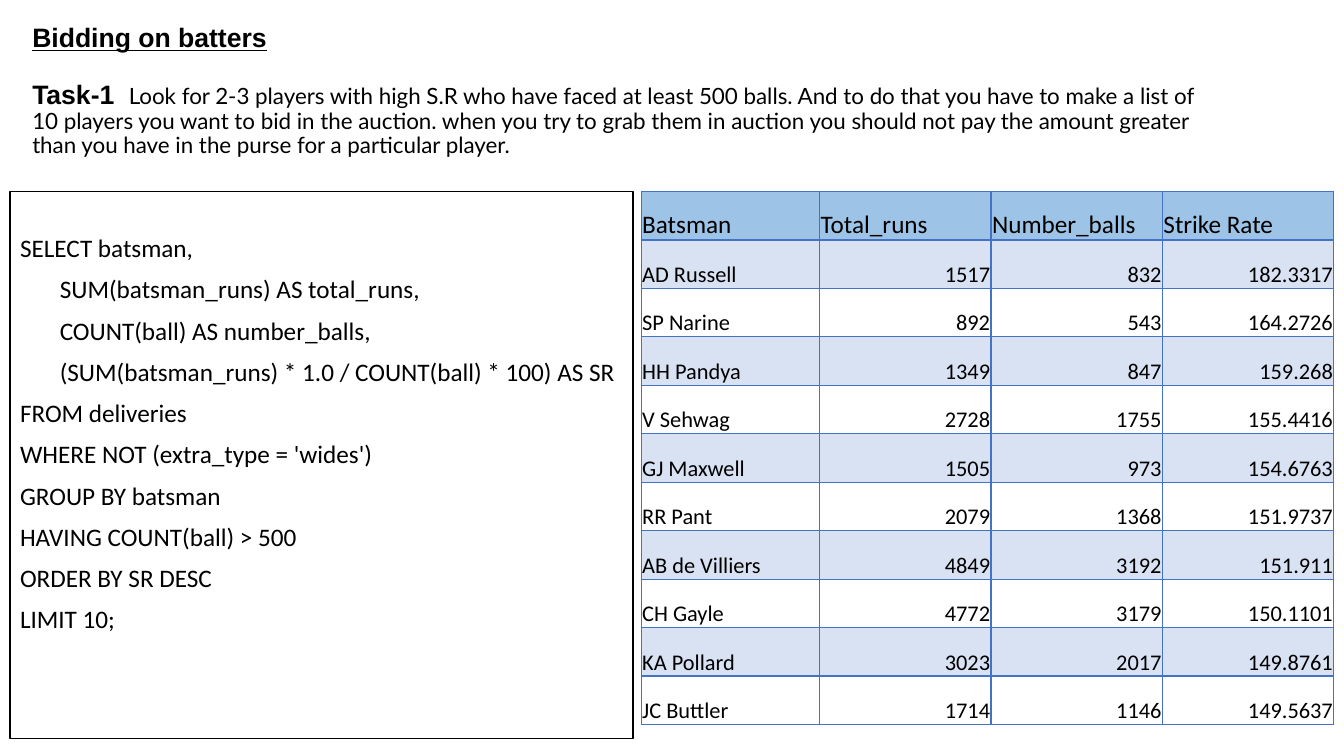
from lxml import etree
from pptx import Presentation
from pptx.dml.color import RGBColor
from pptx.enum.shapes import MSO_SHAPE
from pptx.enum.text import MSO_ANCHOR, MSO_AUTO_SIZE, PP_ALIGN
from pptx.oxml.ns import qn
from pptx.util import Inches, Pt

RECTANGLE = MSO_SHAPE.RECTANGLE
TOP, BOTTOM = MSO_ANCHOR.TOP, MSO_ANCHOR.BOTTOM
LEFT, RIGHT = PP_ALIGN.LEFT, PP_ALIGN.RIGHT
NO_AUTOFIT = MSO_AUTO_SIZE.NONE
TITLE_ONLY = 5

BLACK, WHITE = "000000", "FFFFFF"
ACCENT, HEADER_BLUE = "4472C4", "9DC3E6"
CONTENT_TOP = 1.9
COLUMN_WIDTHS = (1.77, 1.7, 1.7, 1.7)
TABLE_HEIGHT = 5.29

TASK = (
    "Look for 2-3 players with high S.R who have faced at least 500 balls. "
    "And to do that you have to make a list of 10 players you want to bid in "
    "the auction. when you try to grab them in auction you should not pay the "
    "amount greater than you have in the purse for a particular player."
)

QUERY = """SELECT batsman,
       SUM(batsman_runs) AS total_runs,
       COUNT(ball) AS number_balls,
       (SUM(batsman_runs) * 1.0 / COUNT(ball) * 100) AS SR
FROM deliveries
WHERE NOT (extra_type = 'wides')
GROUP BY batsman
HAVING COUNT(ball) > 500
ORDER BY SR DESC
LIMIT 10;"""

BATTERS = [
    ("Batsman", "Total_runs", "Number_balls", "Strike Rate"),
    ("AD Russell", "1517", "832", "182.3317"),
    ("SP Narine", "892", "543", "164.2726"),
    ("HH Pandya", "1349", "847", "159.268"),
    ("V Sehwag", "2728", "1755", "155.4416"),
    ("GJ Maxwell", "1505", "973", "154.6763"),
    ("RR Pant", "2079", "1368", "151.9737"),
    ("AB de Villiers", "4849", "3192", "151.911"),
    ("CH Gayle", "4772", "3179", "150.1101"),
    ("KA Pollard", "3023", "2017", "149.8761"),
    ("JC Buttler", "1714", "1146", "149.5637"),
]


def colour(hex_value):
    return RGBColor.from_string(hex_value)


def add_run(paragraph, text, size, font, bold=False, underline=False):
    run = paragraph.add_run()
    run.text = text
    run.font.size = Pt(size)
    run.font.name = font
    run.font.bold = bold
    run.font.underline = underline
    run.font.color.rgb = colour(BLACK)


def add_line(frame, first, space_before):
    paragraph = frame.paragraphs[0] if first else frame.add_paragraph()
    paragraph.alignment = LEFT
    paragraph.line_spacing = 0.9
    paragraph.space_before = Pt(0 if first else space_before)
    return paragraph


def prepare_frame(frame, anchor):
    frame.word_wrap = True
    frame.auto_size = NO_AUTOFIT
    frame.vertical_anchor = anchor


def fill_title(title):
    title.left, title.top = Inches(0.22), Inches(0.18)
    title.width, title.height = Inches(11.86), Inches(1.44)
    frame = title.text_frame
    prepare_frame(frame, BOTTOM)
    heading = add_line(frame, True, 0)
    add_run(heading, "Bidding on batters", 19, "Arial", bold=True, underline=True)
    task = add_line(frame, False, 20)
    add_run(task, "Task-1 ", 19, "Arial", bold=True)
    add_run(task, " ", 18, "Arial")
    add_run(task, TASK, 16, "Lato")


def add_query_box(slide):
    box = slide.shapes.add_shape(
        RECTANGLE, Inches(0.1), Inches(CONTENT_TOP), Inches(6.18), Inches(5.43)
    )
    box.shadow.inherit = False
    box.fill.solid()
    box.fill.fore_color.rgb = colour(WHITE)
    box.line.color.rgb = colour(BLACK)
    box.line.width = Pt(1)
    frame = box.text_frame
    prepare_frame(frame, TOP)
    frame.margin_top = Inches(0.44)
    for index, code in enumerate(QUERY.splitlines()):
        add_run(add_line(frame, index == 0, 10), code, 18, "Calibri")


def set_border(cell, side, width):
    border = etree.SubElement(cell._tc.get_or_add_tcPr(), qn(f"a:ln{side}"), w=str(Pt(width)))
    solid = etree.SubElement(border, qn("a:solidFill"))
    etree.SubElement(solid, qn("a:srgbClr"), val=ACCENT)


def fill_cell(cell, row):
    if row and row % 2 == 0:
        cell.fill.background()
        return
    cell.fill.solid()
    cell.fill.fore_color.rgb = colour(ACCENT if row else HEADER_BLUE)
    if row:
        tint = cell._tc.tcPr.find(qn("a:solidFill")).find(qn("a:srgbClr"))
        etree.SubElement(tint, qn("a:alpha"), val="20000")


def format_cell(cell, text, row, column):
    cell.margin_left = cell.margin_right = cell.margin_top = Inches(0.01)
    cell.margin_bottom = 0
    cell.vertical_anchor = BOTTOM
    heavy_side = {0: "B", 1: "T"}.get(row)
    for side in "LRTB":
        set_border(cell, side, 2 if side == heavy_side else 1)
    fill_cell(cell, row)
    paragraph = cell.text_frame.paragraphs[0]
    paragraph.alignment = RIGHT if row and column else LEFT
    add_run(paragraph, text, 16 if row else 18, "Calibri")


def add_batters_table(slide):
    table = slide.shapes.add_table(
        len(BATTERS), len(COLUMN_WIDTHS), Inches(6.36), Inches(CONTENT_TOP),
        Inches(sum(COLUMN_WIDTHS)), Inches(TABLE_HEIGHT)
    ).table
    table.first_row = table.horz_banding = False
    for column, width in zip(table.columns, COLUMN_WIDTHS):
        column.width = Inches(width)
    for row, batter in enumerate(BATTERS):
        table.rows[row].height = Inches(TABLE_HEIGHT / len(BATTERS))
        for column, text in enumerate(batter):
            format_cell(table.cell(row, column), text, row, column)


def main():
    deck = Presentation()
    deck.slide_width, deck.slide_height = Inches(13.33), Inches(7.5)
    slide = deck.slides.add_slide(deck.slide_layouts[TITLE_ONLY])
    fill_title(slide.shapes.title)
    add_query_box(slide)
    add_batters_table(slide)
    deck.save("out.pptx")


if __name__ == "__main__":
    main()
